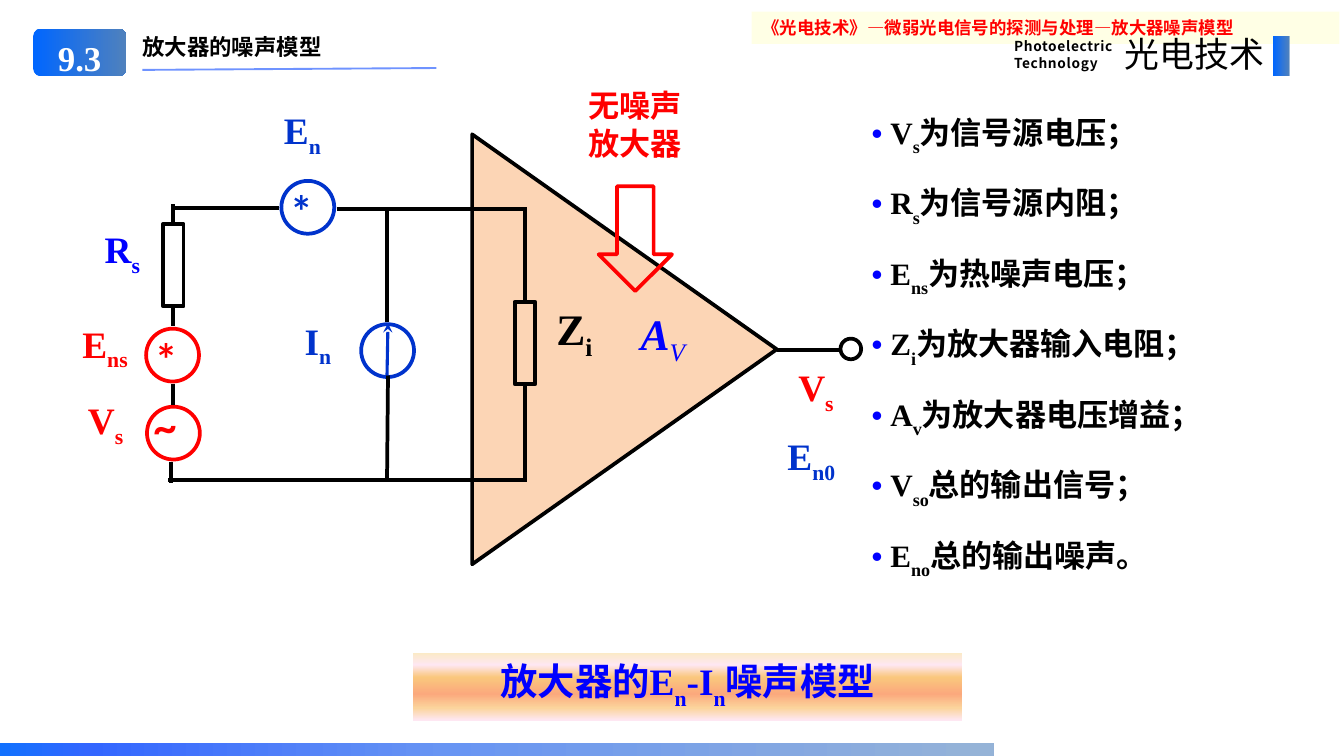
"""Build the slide on the noise model of an amplifier."""
from lxml.etree import SubElement
from pptx import Presentation
from pptx.dml.color import RGBColor
from pptx.enum.shapes import MSO_CONNECTOR, MSO_SHAPE
from pptx.enum.text import MSO_ANCHOR, PP_ALIGN
from pptx.oxml.ns import qn
from pptx.util import Pt

BLACK = RGBColor(0, 0, 0)
WHITE = RGBColor(255, 255, 255)
RED = RGBColor(255, 0, 0)
BLUE = RGBColor(0, 0, 255)
NAVY = RGBColor(0, 0x33, 0xCC)
SKY = RGBColor(0x33, 0x66, 0xFF)
PEACH = RGBColor(0xFC, 0xD5, 0xB5)
CREAM = RGBColor(0xFF, 0xFF, 0xCC)
TIMES, LATO = "Times New Roman", "Lato"
SANS, SANS_JP = "Noto Sans CJK SC", "Noto Sans CJK JP"
WIDE = (8.6, 4.3, 8.6, 4.3)
FLAT = (8.6, 0, 8.6, 4.3)
NONE = (0, 0, 0, 0)
NORM = (7.2, 3.6, 7.2, 3.6)

deck = Presentation()
deck.slide_width, deck.slide_height = Pt(1080), Pt(607.68)
slide = deck.slides.add_slide(deck.slide_layouts[6])


def put(kind, place, line=None, fill=None, inset=WIDE):
    where = [Pt(n) for n in place]
    if kind is None:
        shape = slide.shapes.add_textbox(*where)
    else:
        shape = slide.shapes.add_shape(kind, *where)
        shape.shadow.inherit = False
        if fill is None:
            shape.fill.background()
        else:
            shape.fill.solid()
            shape.fill.fore_color.rgb = fill
        if line is None:
            shape.line.fill.background()
        else:
            shape.line.color.rgb = line
            shape.line.width = Pt(3)
    frame = shape.text_frame
    frame.word_wrap = True
    frame.vertical_anchor = MSO_ANCHOR.TOP
    (frame.margin_left, frame.margin_top,
     frame.margin_right, frame.margin_bottom) = [Pt(n) for n in inset]
    return shape


def write(para, words, size, tint, face=TIMES, base=0, bold=True, slant=False):
    run = para.add_run()
    run.text = words
    font = run.font
    font.size, font.bold, font.italic = Pt(size), bold, slant
    font.color.rgb = tint
    font.name = face
    east = face if face.startswith("Noto") else SANS
    SubElement(font._element, qn("a:ea"), typeface=east)
    if base:
        font._element.set("baseline", str(base * 1000))
    return run


# Banner
banner = put(MSO_SHAPE.RECTANGLE, (331.9, 524.9, 441.4, 54))
para = banner.text_frame.paragraphs[0]
para.alignment = PP_ALIGN.CENTER
for words, base in (("放大器的E", 0), ("n", -30), ("-I", 0), ("n", -30), ("噪声模型", 0)):
    write(para, words, 30, BLUE, base=base)

# Circuit
amp = put(MSO_SHAPE.ISOSCELES_TRIANGLE, (329, 158.4, 345.6, 244.8), BLACK, PEACH)
amp.rotation = 90
for x, y, size, tint in (
    (117.4, 264.2, 42.5, RED), (118.1, 326.9, 42.5, RED), (290.2, 260.6, 42.5, NAVY),
    (226.1, 145.4, 42.5, NAVY), (675.4, 272.2, 16.6, BLACK),
):
    put(MSO_SHAPE.OVAL, (x, y, size, size), tint)
load = put(MSO_SHAPE.RECTANGLE, (413.6, 242.6, 16.6, 66.2), BLACK)
source = put(MSO_SHAPE.RECTANGLE, (131, 180, 16.6, 66.2), BLACK)
put(MSO_SHAPE.DOWN_ARROW, (481, 149.8, 59, 84.2), RED)

for x1, y1, x2, y2, tint, width, head, tail in (
    (421.9, 167, 421.9, 242.6, BLACK, 3, None, (load, 0)),
    (421.9, 308.8, 421.9, 384.5, BLACK, 3, (load, 2), None),
    (139.3, 164.2, 139.3, 180, BLACK, 3, None, (source, 0)),
    (139.3, 246.2, 139.3, 262.1, BLACK, 3, (source, 2), None),
    (139, 308.9, 139, 325.4, BLACK, 3, None, None),
    (137.5, 371.5, 137.5, 388.1, BLACK, 3, None, None),
    (311, 167, 311, 258.5, BLACK, 3, None, None),
    (311.8, 301.7, 311, 386.6, BLACK, 3, None, None),
    (270.7, 167.8, 423.4, 167.8, BLACK, 3, None, None),
    (223.9, 167, 139.7, 167, BLACK, 3, None, None),
    (135.4, 385.9, 423.4, 385.9, BLACK, 3, None, None),
    (624.2, 281.5, 675.4, 281.5, BLACK, 3, None, None),
    (311, 301.7, 311.8, 259.9, NAVY, 2.5, None, None),
    (114.5, 56.2, 350.6, 54.7, SKY, 1.5, None, None),
):
    wire = slide.shapes.add_connector(
        MSO_CONNECTOR.STRAIGHT, Pt(x1), Pt(y1), Pt(x2), Pt(y2))
    wire.line.color.rgb = tint
    wire.line.width = Pt(width)
    if head:
        wire.begin_connect(*head)
    if tail:
        wire.end_connect(*tail)
    props = wire._element.spPr
    if tint == NAVY:
        SubElement(props.find(qn("a:ln")), qn("a:tailEnd"), type="stealth")
    if tint == SKY:
        SubElement(props.find(".//" + qn("a:srgbClr")), qn("a:alpha"), val="70000")
    SubElement(props, qn("a:effectLst"))

# Labels
for x, y, w, h, words, sub, size, tint, inset in (
    (219.6, 82.1, 59, 45.4, "E", "n", 30, NAVY, WIDE),
    (84.2, 182.2, 50.4, 36, "R", "s", 30, BLUE, NONE),
    (66.2, 257.8, 50.4, 36, "E", "ns", 30, RED, NONE),
    (70.6, 319.7, 50.4, 36, "V", "s", 30, RED, NONE),
    (236.2, 251.3, 50.4, 45.4, "I", "n", 30, NAVY, WIDE),
    (438.5, 242.6, 76.3, 59, "Z", "i", 35, BLACK, FLAT),
    (506.2, 242.6, 67.7, 51.8, "A", "V", 35, BLUE, WIDE),
    (641.5, 293, 50.4, 36, "V", "s", 30, RED, NONE),
    (624.2, 344.2, 75.6, 45.4, "E", "n0", 30, NAVY, WIDE),
):
    para = put(None, (x, y, w, h), inset=inset).text_frame.paragraphs[0]
    slant = words == "A"
    write(para, words, size, tint, slant=slant)
    write(para, sub, size, tint, base=-25, bold=not slant, slant=slant)

for x, y, mark, tint in (
    (126, 267.8, "*", RED), (122.4, 321.1, "~", RED), (234.7, 148.3, "*", NAVY),
):
    sign = put(None, (x, y, 25.2, 42.5), inset=NONE)
    write(sign.text_frame.paragraphs[0], mark, 35, tint, LATO)

# Legend
frame = put(None, (691.9, 65.5, 354.2, 447.1), inset=(8.6, 7.9, 8.6, 4.3)).text_frame
for row, (name, sub, words) in enumerate((
    ("V", "s", "为信号源电压；"), ("R", "s", "为信号源内阻；"),
    ("E", "ns", "为热噪声电压；"), ("Z", "i", "为放大器输入电阻；"),
    ("A", "v", "为放大器电压增益；"), ("V", "so", "总的输出信号；"),
    ("E", "no", "总的输出噪声。"),
)):
    para = frame.add_paragraph() if row else frame.paragraphs[0]
    para.line_spacing = 1.5
    para.space_before = Pt(3.6 if row else 0)
    para.alignment = PP_ALIGN.JUSTIFY if row < 5 else PP_ALIGN.LEFT
    form = para._p.get_or_add_pPr()
    form.set("marL", str(Pt(33.8)))
    form.set("indent", str(Pt(-33.8)))
    write(para, "• ", 25, BLUE)
    write(para, name, 25, BLACK)
    write(para, sub, 25, BLACK, base=-30)
    write(para, words, 25, BLACK)

frame = put(None, (438.5, 69.8, 143.3, 79.2), inset=FLAT).text_frame
for row, words in enumerate(("无噪声", "放大器")):
    para = frame.add_paragraph() if row else frame.paragraphs[0]
    para.alignment = PP_ALIGN.CENTER
    write(para, words, 25, RED, SANS)

# Header
strip = put(MSO_SHAPE.RECTANGLE, (604.1, 9.4, 472.3, 25.9), fill=CREAM)
SubElement(strip._element.spPr.find(".//" + qn("a:srgbClr")), qn("a:alpha"), val="50000")
para = strip.text_frame.paragraphs[0]
para.alignment = PP_ALIGN.LEFT
write(para, "《光电技术》", 14, RED, SANS_JP)
write(para, "—微弱光电信号的探测与处理—放大器噪声模型", 14, RED, SANS)

title = put(None, (107.3, 23, 252, 28.8), inset=NORM)
write(title.text_frame.paragraphs[0], "放大器的噪声模型", 18, BLACK, SANS)

frame = put(None, (807.8, 25.9, 95, 35.3), inset=NORM).text_frame
for row, words in enumerate(("Photoelectric", "Technology")):
    para = frame.add_paragraph() if row else frame.paragraphs[0]
    para.line_spacing = Pt(14)
    write(para, words, 11, BLACK, SANS).font._element.set("spc", "50")

course = put(None, (886.3, 23, 136.8, 41), inset=NORM)
para = course.text_frame.paragraphs[0]
para.alignment = PP_ALIGN.RIGHT
write(para, "光电技术", 28, BLACK, SANS, bold=False).font._element.set("spc", "20")

badge = put(MSO_SHAPE.ROUNDED_RECTANGLE, (26.6, 23, 74.9, 38.2), inset=(7.2, 11.6, 7.2, 3.6))
badge.text_frame.vertical_anchor = MSO_ANCHOR.MIDDLE
para = badge.text_frame.paragraphs[0]
para.alignment = PP_ALIGN.CENTER
write(para, "9.3", 28, WHITE)

block = put(MSO_SHAPE.RECTANGLE, (1023.1, 28.8, 13, 32.4))
foot = put(MSO_SHAPE.RECTANGLE, (0, 597.6, 798.5, 10.08))

# Gradients
duo = ((0, "0066FF"), (100, "4F81BD"))
for shape, angle, stops in (
    (banner, 270, ((0, "FBEAC7"), (18, "FEE7F2"), (36, "FAC77D"),
                   (61, "FBA97D"), (82, "FBD49C"), (100, "FEE7F2"))),
    (block, 0, duo),
    (badge, 0, duo),
    (foot, 0, ((0, "1271FE"), (9, "3366FF"), (45, "6895F3"), (100, "95B3D7"))),
):
    shape.fill.gradient()
    shape.fill.gradient_angle = angle
    ramp = shape._element.spPr.find(".//" + qn("a:gsLst"))
    ramp.clear()
    for spot, tint in stops:
        stop = SubElement(ramp, qn("a:gs"), pos=str(spot * 1000))
        SubElement(stop, qn("a:srgbClr"), val=tint)

deck.save("out.pptx")
